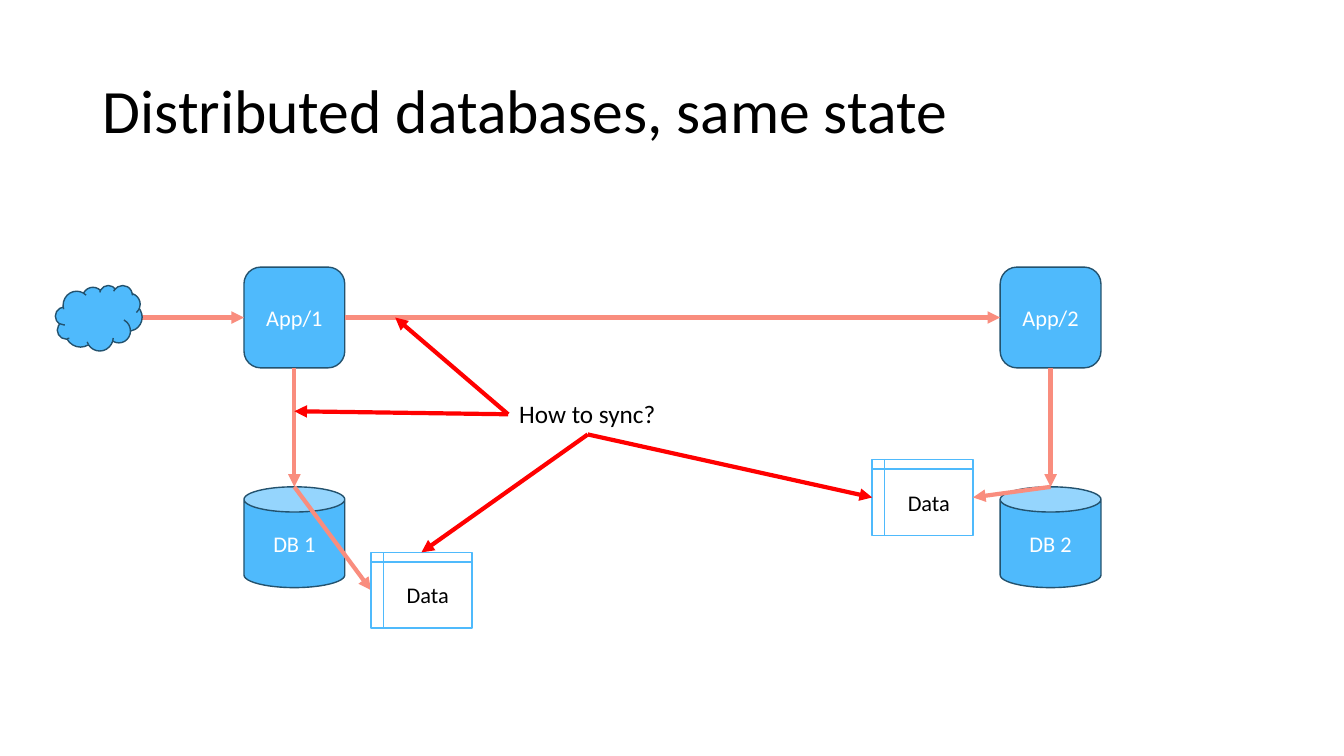
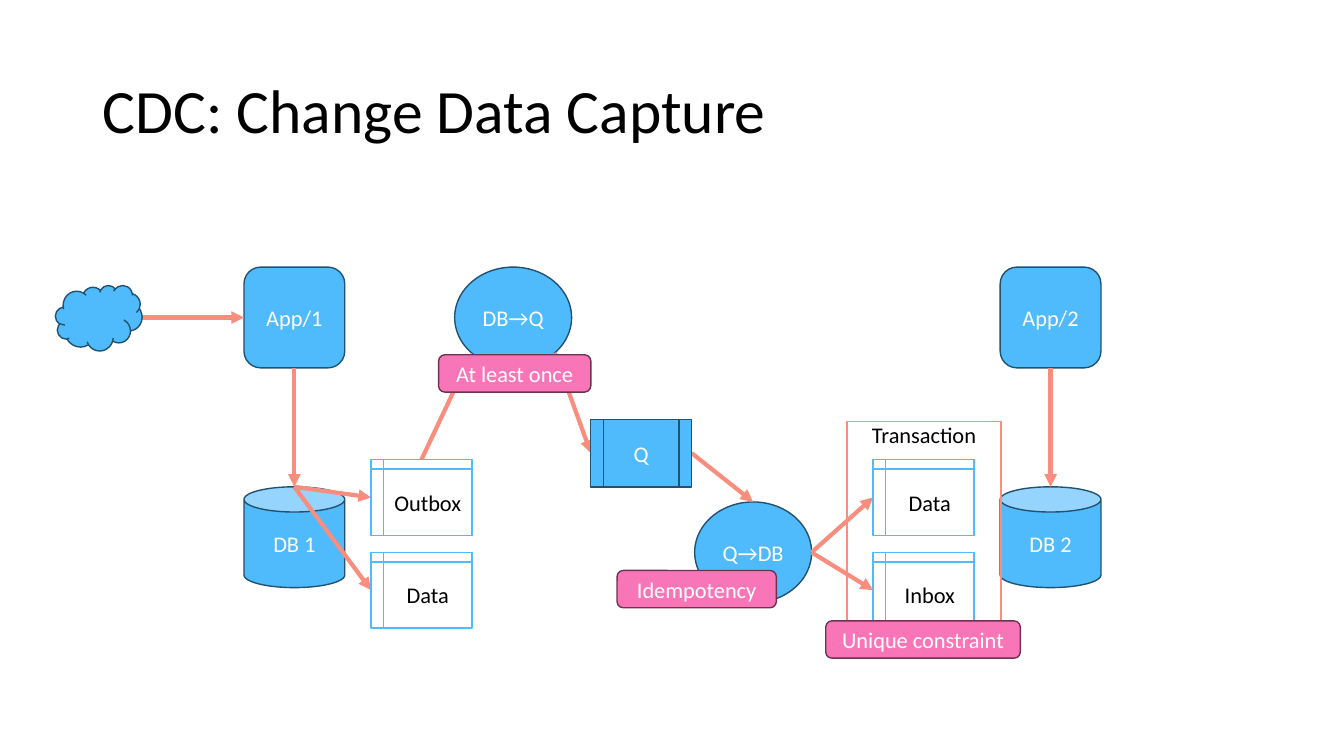
from dataclasses import dataclass

from lxml import etree
from pptx import Presentation
from pptx import util as u
from pptx.dml import color
from pptx.enum import shapes, text
from pptx.oxml import ns

FONT = "Calibri"
BLUE, NAVY = "4FBAFC", "23526E"
PINK, PLUM = "F876B8", "6D3451"
CORAL, RED = "F98D7E", "FF0000"
WHITE, BLACK = "FFFFFF", "000000"
KIND = shapes.MSO_SHAPE

LEFT, RIGHT = 2.42, 9.92
APP_TOP, DB_TOP = 2.65, 4.83
UPPER, LOWER = 4.56, 5.48
STORE_X, STORE_W, STORE_H = 3.68, 1, 0.75


@dataclass(frozen=True)
class Look:
    fill: str | None
    line: str
    ink: str = WHITE


SOLID = Look(BLUE, NAVY)
PAPER = Look(WHITE, BLUE, BLACK)
BADGE = Look(PINK, PLUM)
FRAME = Look(None, CORAL, BLACK)


@dataclass(frozen=True)
class Node:
    label: str
    kind: KIND
    x: float
    y: float
    w: float = 1
    h: float = 1
    look: Look = SOLID

    @property
    def west(self):
        return self.x, self.y + self.h / 2

    @property
    def east(self):
        return self.x + self.w, self.y + self.h / 2

    @property
    def north(self):
        return self.x + self.w / 2, self.y

    @property
    def south(self):
        return self.x + self.w / 2, self.y + self.h


@dataclass(frozen=True)
class Arrow:
    start: tuple[float, float]
    end: tuple[float, float]
    hue: str = CORAL


def rgb(code: str) -> color.RGBColor:
    return color.RGBColor.from_string(code)


def style(frame, size: float, ink: str) -> None:
    for par in frame.paragraphs:
        for run in par.runs:
            run.font.name = FONT
            run.font.size = u.Pt(size)
            run.font.color.rgb = rgb(ink)


def draw_node(slide, node: Node):
    box = slide.shapes.add_shape(
        node.kind, *map(u.Inches, (node.x, node.y, node.w, node.h)))
    box.shadow.inherit = False
    if node.look.fill:
        box.fill.solid()
        box.fill.fore_color.rgb = rgb(node.look.fill)
    else:
        box.fill.background()
    box.line.color.rgb = rgb(node.look.line)
    box.line.width = u.Pt(1)
    if node.label:
        box.text_frame.text = node.label
        box.text_frame.paragraphs[0].alignment = text.PP_ALIGN.CENTER
        style(box.text_frame, 16, node.look.ink)
    return box


def draw_arrow(slide, arrow: Arrow) -> None:
    link = slide.shapes.add_connector(
        shapes.MSO_CONNECTOR.STRAIGHT,
        *map(u.Inches, arrow.start + arrow.end))
    link.line.color.rgb = rgb(arrow.hue)
    link.line.width = u.Pt(3)
    props = link.element.spPr
    tail = etree.SubElement(props.find(ns.qn("a:ln")), ns.qn("a:tailEnd"))
    tail.set("type", "triangle")
    etree.SubElement(props, ns.qn("a:effectLst"))


def draw_frame(slide, node: Node) -> None:
    """Draw an unfilled box with its label along the top edge."""
    frame = draw_node(slide, node).text_frame
    frame.vertical_anchor = text.MSO_ANCHOR.TOP
    frame.margin_left = frame.margin_right = 0
    frame.margin_top = frame.margin_bottom = 0


def draw_all(slide, items: list[Node | Arrow]) -> None:
    """Draw the items from back to front."""
    for item in items:
        if isinstance(item, Arrow):
            draw_arrow(slide, item)
        elif item.look is FRAME:
            draw_frame(slide, item)
        else:
            draw_node(slide, item)


def store(label: str, x: float, y: float) -> Node:
    return Node(label, KIND.FLOWCHART_INTERNAL_STORAGE,
                x, y, STORE_W, STORE_H, PAPER)


def badge(label: str, x: float, y: float, w: float) -> Node:
    return Node(label, KIND.ROUNDED_RECTANGLE, x, y, w, 0.37, BADGE)


APP1 = Node("App/1", KIND.ROUNDED_RECTANGLE, LEFT, APP_TOP)
APP2 = Node("App/2", KIND.ROUNDED_RECTANGLE, RIGHT, APP_TOP)
DB1 = Node("DB 1", KIND.CAN, LEFT, DB_TOP)
DB2 = Node("DB 2", KIND.CAN, RIGHT, DB_TOP)
CLOUD = Node("", KIND.CLOUD, 0.55, 2.83, 0.86, 0.65)
DATA1 = store("Data", STORE_X, LOWER)
BASE = [
    APP1, APP2, DB1, DB2,
    Arrow(APP1.south, DB1.north),
    Arrow(APP2.south, DB2.north),
    Arrow((1.35, 3.15), APP1.west),
    CLOUD,
    Arrow(DB1.north, DATA1.west),
    DATA1,
]


def add_slide(deck, title: str):
    """Add a slide with the title and the parts that all slides share."""
    slide = deck.slides.add_slide(deck.slide_layouts[6])
    box = slide.shapes.add_textbox(*map(u.Inches, (0.92, 0.4, 11.5, 1.45)))
    frame = box.text_frame
    frame.word_wrap = True
    frame.vertical_anchor = text.MSO_ANCHOR.MIDDLE
    frame.text = title
    frame.paragraphs[0].line_spacing = 0.9
    style(frame, 44, BLACK)
    draw_all(slide, BASE)
    return slide


def add_state(deck) -> None:
    slide = add_slide(deck, "Distributed databases, same state")
    data2 = store("Data", 8.65, UPPER)
    side, foot = (5.04, 4.11), (5.83, 4.31)
    draw_all(slide, [
        data2,
        Arrow(APP1.east, APP2.west),
        Arrow(DB2.north, data2.east),
        Arrow(side, (2.92, 4.08), RED),
        Arrow(side, (3.92, 3.15), RED),
        Arrow(foot, DATA1.north, RED),
        Arrow(foot, data2.west, RED),
    ])
    box = slide.shapes.add_textbox(*map(u.Inches, (5.04, 3.9, 1.57, 0.4)))
    box.text_frame.word_wrap = False
    box.text_frame.text = "How to sync?"
    box.text_frame.paragraphs[0].alignment = text.PP_ALIGN.CENTER
    style(box.text_frame, 18, BLACK)


def add_cdc(deck) -> None:
    slide = add_slide(deck, "CDC: Change Data Capture")
    pull = Node("DB→Q", KIND.OVAL, 4.51, APP_TOP, 1.16)
    push = Node("Q→DB", KIND.OVAL, 6.89, 4.98, 1.16)
    queue = Node("Q", KIND.FLOWCHART_PREDEFINED_PROCESS, 5.86, 4.16, h=0.67)
    outbox = store("Outbox", STORE_X, UPPER)
    data2 = store("Data", 8.66, UPPER)
    inbox = store("Inbox", 8.66, LOWER)
    draw_all(slide, [
        pull,
        Arrow(outbox.north, (4.68, 3.5)),
        Arrow((5.5, 3.5), queue.west),
        push,
        Arrow(push.east, data2.west),
        Arrow(queue.east, push.north),
        Arrow(DB1.north, outbox.west),
        outbox, queue,
        badge("Idempotency", 6.12, 5.66, 1.58),
        data2, inbox,
        Node("Transaction", KIND.RECTANGLE, 8.4, 4.18, 1.53, 2.29, FRAME),
        badge("Unique constraint", 8.19, 6.16, 1.93),
        Arrow(push.east, inbox.west),
        badge("At least once", 4.35, 3.52, 1.51),
    ])


def main() -> None:
    deck = Presentation()
    deck.slide_width = u.Inches(13.33)
    deck.slide_height = u.Inches(7.5)
    add_state(deck)
    add_cdc(deck)
    deck.save("out.pptx")


if __name__ == "__main__":
    main()
